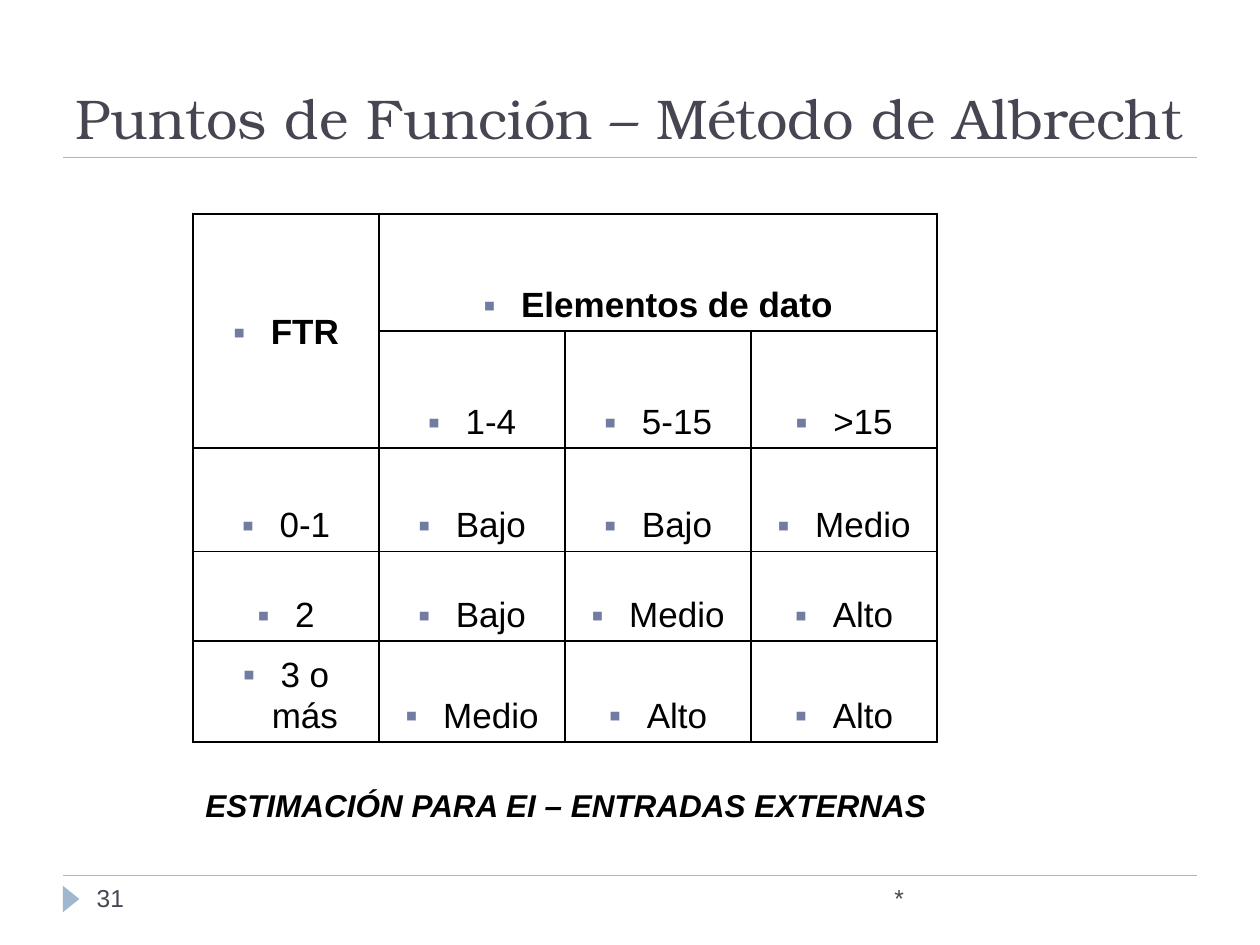
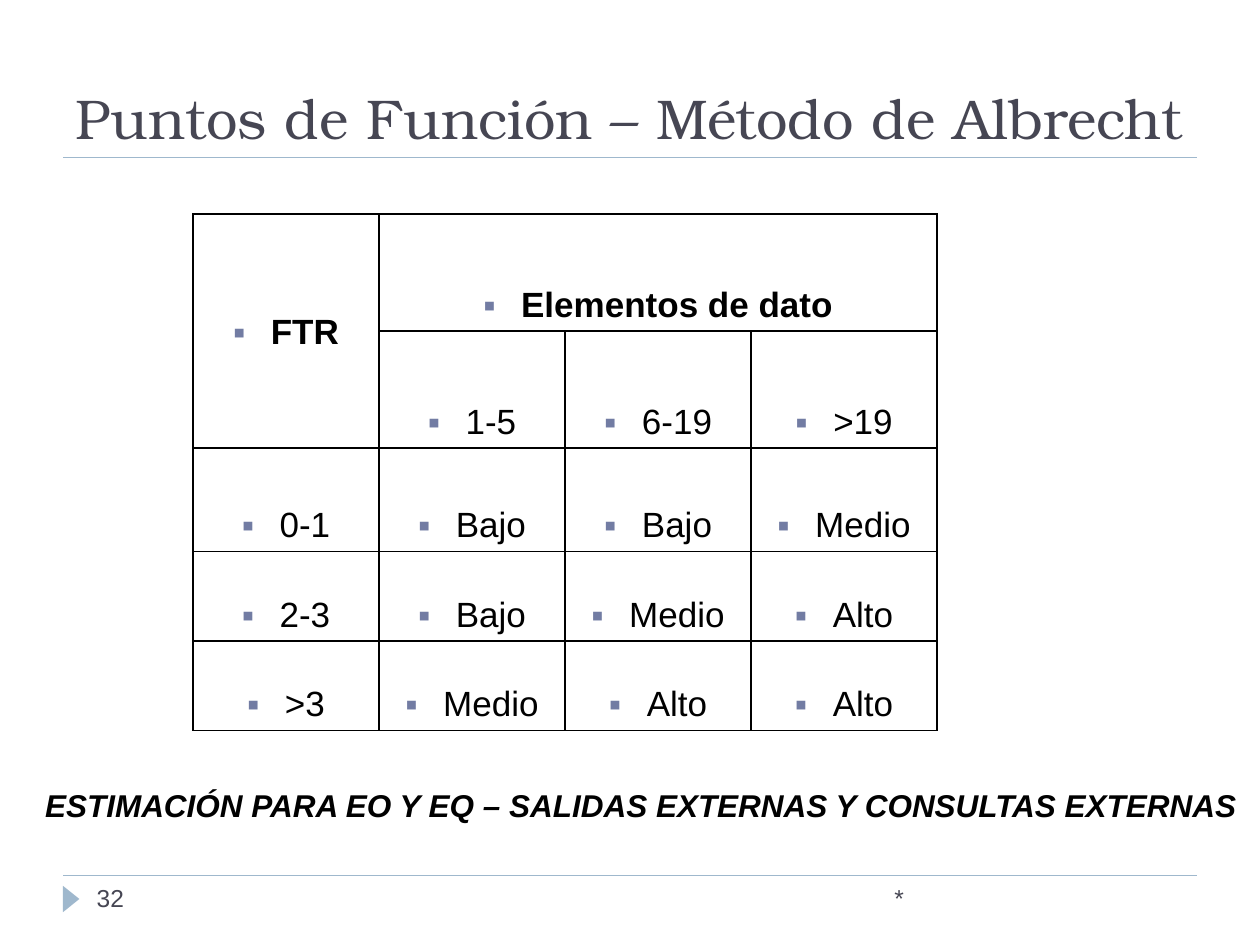
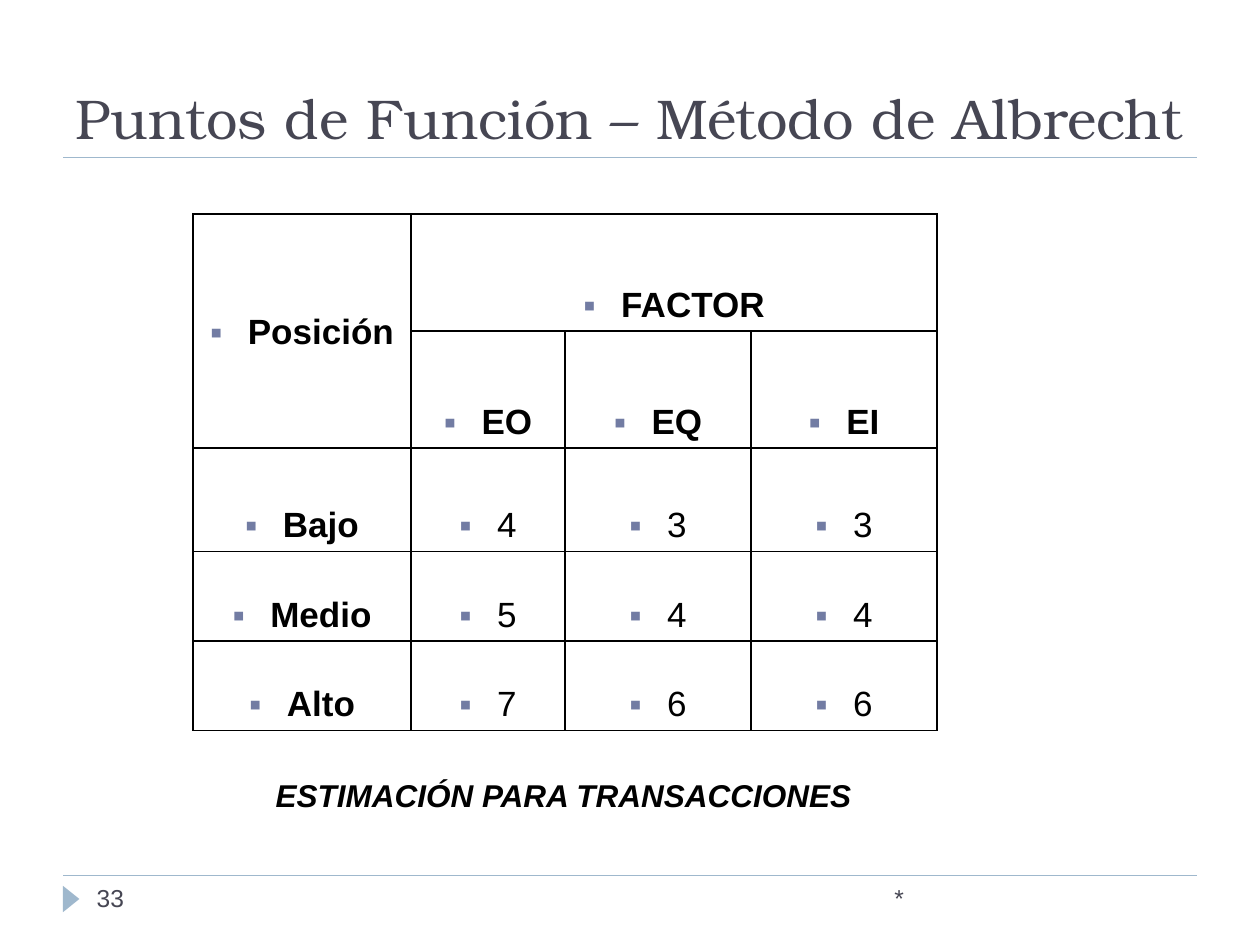
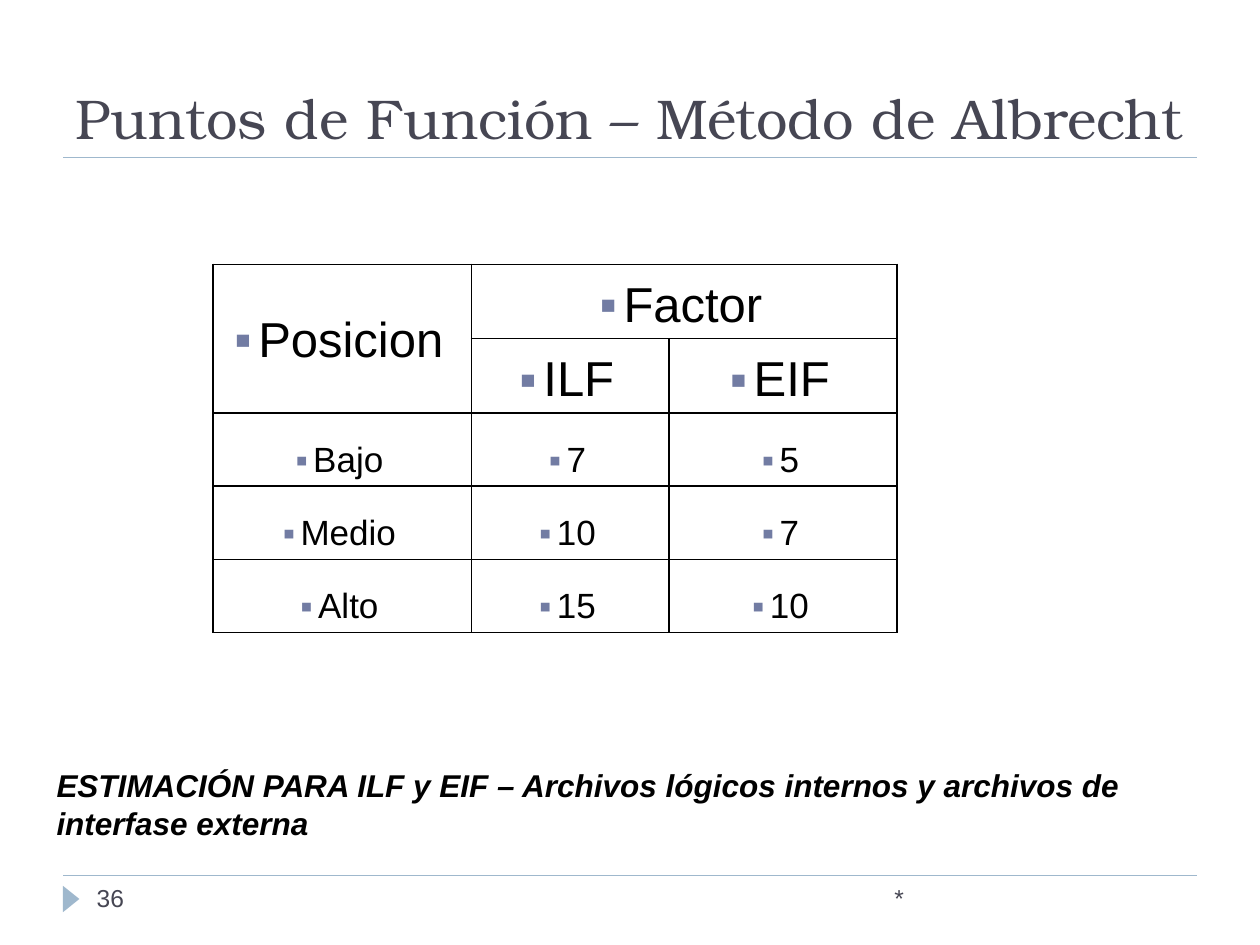
from dataclasses import dataclass

from lxml import etree
from pptx import Presentation
from pptx.dml.color import RGBColor
from pptx.enum.shapes import MSO_CONNECTOR, MSO_SHAPE
from pptx.enum.text import MSO_ANCHOR, MSO_AUTO_SIZE, PP_ALIGN
from pptx.oxml.ns import qn
from pptx.util import Pt

LEFT, CENTER = PP_ALIGN.LEFT, PP_ALIGN.CENTER
MIDDLE, BOTTOM = MSO_ANCHOR.MIDDLE, MSO_ANCHOR.BOTTOM
NO_FIT = MSO_AUTO_SIZE.NONE
STRAIGHT, TRIANGLE = MSO_CONNECTOR.STRAIGHT, MSO_SHAPE.ISOSCELES_TRIANGLE

INK, SLATE, SKY, BULLET = "000000", "464653", "9FB8CD", "727CA3"
BODY_FONT, TITLE_FONT = "Arial", "TeX Gyre Bonum"
TITLE = "Puntos de Función – Método de Albrecht"
TITLE_ONLY = 5
RULES_Y = (90, 500.4)
FOOTER_Y, FOOTER_H = 500.4, 28.8
HEADER_ROWS = 2


@dataclass
class Caption:
    text: str
    x: float
    y: float
    w: float
    h: float = 28.8


@dataclass
class Grid:
    rows: list[list[str]]
    widths: list[float]
    heights: list[float]
    x: float = 110.3
    y: float = 122.3
    header_size: float = 20
    bold_rows: int = 1
    bold_first_col: bool = False
    margin: float = 21.6
    hangs: tuple[float, float] = (21.6, 21.6)


@dataclass
class Page:
    number: int
    grid: Grid
    caption: Caption


HEIGHTS = [66.9, 66.9, 59.1, 51.1, 51.1]
EQUAL_WIDTHS = [106.3] * 4

PAGES = [
    Page(31, Grid([["FTR", "Elementos de dato"],
                   ["", "1-4", "5-15", ">15"],
                   ["0-1", "Bajo", "Bajo", "Medio"],
                   ["2", "Bajo", "Medio", "Alto"],
                   ["3 o más", "Medio", "Alto", "Alto"]],
                  EQUAL_WIDTHS, HEIGHTS[:-1] + [57.6]),
         Caption("ESTIMACIÓN PARA EI – ENTRADAS EXTERNAS", 110.2, 445.7, 428.4)),
    Page(32, Grid([["FTR", "Elementos de dato"],
                   ["", "1-5", "6-19", ">19"],
                   ["0-1", "Bajo", "Bajo", "Medio"],
                   ["2-3", "Bajo", "Medio", "Alto"],
                   [">3", "Medio", "Alto", "Alto"]],
                  EQUAL_WIDTHS, HEIGHTS),
         Caption("ESTIMACIÓN PARA EO Y EQ – SALIDAS EXTERNAS Y CONSULTAS EXTERNAS",
                 18.7, 445.7, 701.3)),
    Page(33, Grid([["Posición", "FACTOR"],
                   ["", "EO", "EQ", "EI"],
                   ["Bajo", "4", "3", "3"],
                   ["Medio", "5", "4", "4"],
                   ["Alto", "7", "6", "6"]],
                  [124.6, 88, 106.3, 106.3], HEIGHTS,
                  bold_rows=HEADER_ROWS, bold_first_col=True),
         Caption("ESTIMACIÓN PARA TRANSACCIONES", 150.5, 439.9, 345.6)),
    Page(36, Grid([["Posicion", "Factor"],
                   ["", "ILF", "EIF"],
                   ["Bajo", "7", "5"],
                   ["Medio", "10", "7"],
                   ["Alto", "15", "10"]],
                  [147.6, 113, 130.4], [42.5, 42.5, 41.8, 41.8, 41.8],
                  x=121.7, y=151, header_size=28, bold_rows=0,
                  margin=0, hangs=(13.7, 10.1)),
         Caption("ESTIMACIÓN PARA ILF y EIF – Archivos lógicos internos "
                 "y archivos de interfase externa", 25.2, 434.2, 663.1, 50.4)),
]


def rgb(color: str) -> RGBColor:
    return RGBColor.from_string(color)


def write(tf, text: str, *, size: float, color: str = INK, font: str = BODY_FONT,
          bold: bool = False, italic: bool = False, align=LEFT, spacing=None):
    p = tf.paragraphs[0]
    p.alignment = align
    if spacing:
        p.line_spacing = spacing
    r = p.add_run()
    r.text = text
    r.font.size, r.font.name = Pt(size), font
    r.font.bold, r.font.italic = bold, italic
    r.font.color.rgb = rgb(color)
    return p


def add_text(s, text: str, x: float, y: float, w: float, h: float, **style) -> None:
    tf = s.shapes.add_textbox(Pt(x), Pt(y), Pt(w), Pt(h)).text_frame
    tf.word_wrap = True
    write(tf, text, **style)


def add_bullet(p, margin: float, hang: float) -> None:
    pPr = p._p.get_or_add_pPr()
    pPr.set("marL", str(Pt(margin)))
    pPr.set("indent", str(-Pt(hang)))
    clr = etree.SubElement(pPr, qn("a:buClr"))
    etree.SubElement(clr, qn("a:srgbClr"), val=BULLET)
    etree.SubElement(pPr, qn("a:buFont"), typeface=BODY_FONT)
    etree.SubElement(pPr, qn("a:buChar"), char="▪")


def add_borders(cell) -> None:
    tcPr = cell._tc.get_or_add_tcPr()
    for i, side in enumerate(("lnL", "lnR", "lnT", "lnB")):
        ln = etree.Element(qn(f"a:{side}"), w=str(Pt(1)))
        fill = etree.SubElement(ln, qn("a:solidFill"))
        etree.SubElement(fill, qn("a:srgbClr"), val=INK)
        tcPr.insert(i, ln)


def add_grid(s, grid: Grid) -> None:
    n_rows, n_cols = len(grid.heights), len(grid.widths)
    table = s.shapes.add_table(n_rows, n_cols, Pt(grid.x), Pt(grid.y),
                               Pt(sum(grid.widths)), Pt(sum(grid.heights))).table
    table.first_row = table.horz_banding = False
    for col, width in zip(table.columns, grid.widths):
        col.width = Pt(width)
    for row, height in zip(table.rows, grid.heights):
        row.height = Pt(height)
    for cell in table.iter_cells():
        cell.fill.background()
        add_borders(cell)
    table.cell(0, 0).merge(table.cell(HEADER_ROWS - 1, 0))
    table.cell(0, 1).merge(table.cell(0, n_cols - 1))
    for i, texts in enumerate(grid.rows):
        header = i < HEADER_ROWS
        for j, text in enumerate(texts):
            if not text:
                continue
            cell = table.cell(i, j)
            cell.vertical_anchor = MIDDLE if i == j == 0 else BOTTOM
            p = write(cell.text_frame, text, size=grid.header_size if header else 20,
                      bold=i < grid.bold_rows or (grid.bold_first_col and j == 0),
                      align=CENTER, spacing=1.05)
            add_bullet(p, grid.margin, grid.hangs[0 if header else 1])


def add_rule(s, y: float) -> None:
    line = s.shapes.add_connector(STRAIGHT, Pt(36), Pt(y), Pt(684), Pt(y))
    line.line.color.rgb = rgb(SKY)
    line.line.width = Pt(0.75)
    etree.SubElement(line._element.spPr, qn("a:effectLst"))


def add_frame(s, number: int) -> None:
    for y in RULES_Y:
        add_rule(s, y)
    sp = s.shapes.add_shape(TRIANGLE, Pt(33.1), Pt(509), Pt(15.1), Pt(9.4))
    sp.rotation = 90
    sp.shadow.inherit = False
    sp.fill.solid()
    sp.fill.fore_color.rgb = rgb(SKY)
    sp.line.fill.background()
    for text, x, w in (("*", 504, 180), (str(number), 48.2, 156.2)):
        add_text(s, text, x, FOOTER_Y, w, FOOTER_H, size=14, color=SLATE, spacing=1.05)


def set_title(s) -> None:
    sp = s.shapes.title
    sp.left, sp.top, sp.width, sp.height = Pt(36), Pt(12.2), Pt(648), Pt(77.8)
    tf = sp.text_frame
    tf.auto_size, tf.vertical_anchor = NO_FIT, BOTTOM
    write(tf, TITLE, size=32, color=SLATE, font=TITLE_FONT)


def add_page(prs, page: Page) -> None:
    s = prs.slides.add_slide(prs.slide_layouts[TITLE_ONLY])
    set_title(s)
    add_frame(s, page.number)
    add_grid(s, page.grid)
    c = page.caption
    add_text(s, c.text, c.x, c.y, c.w, c.h, size=18, bold=True, italic=True)


def main() -> None:
    prs = Presentation()
    prs.slide_width, prs.slide_height = Pt(720), Pt(540)
    for page in PAGES:
        add_page(prs, page)
    prs.save("out.pptx")


if __name__ == "__main__":
    main()
